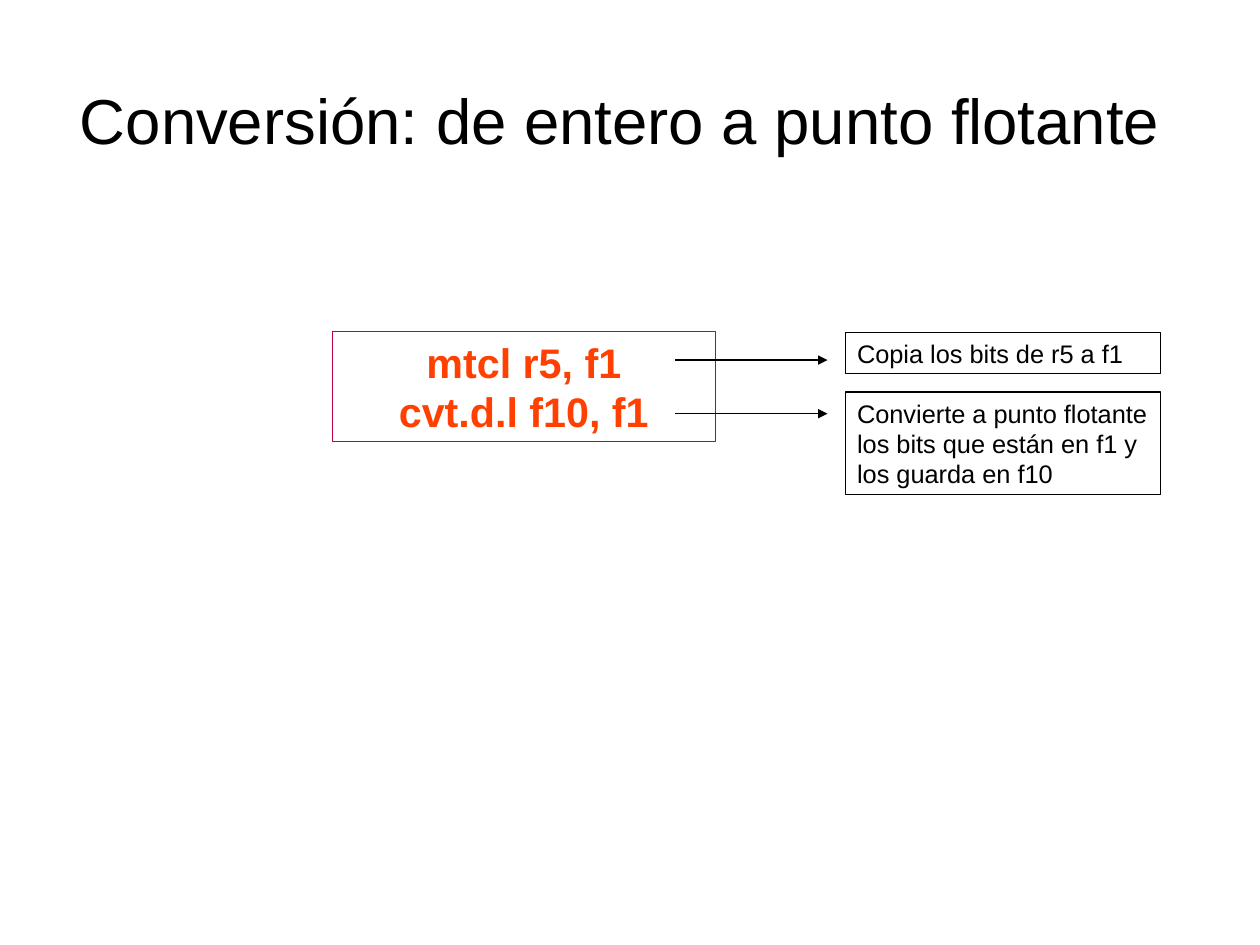
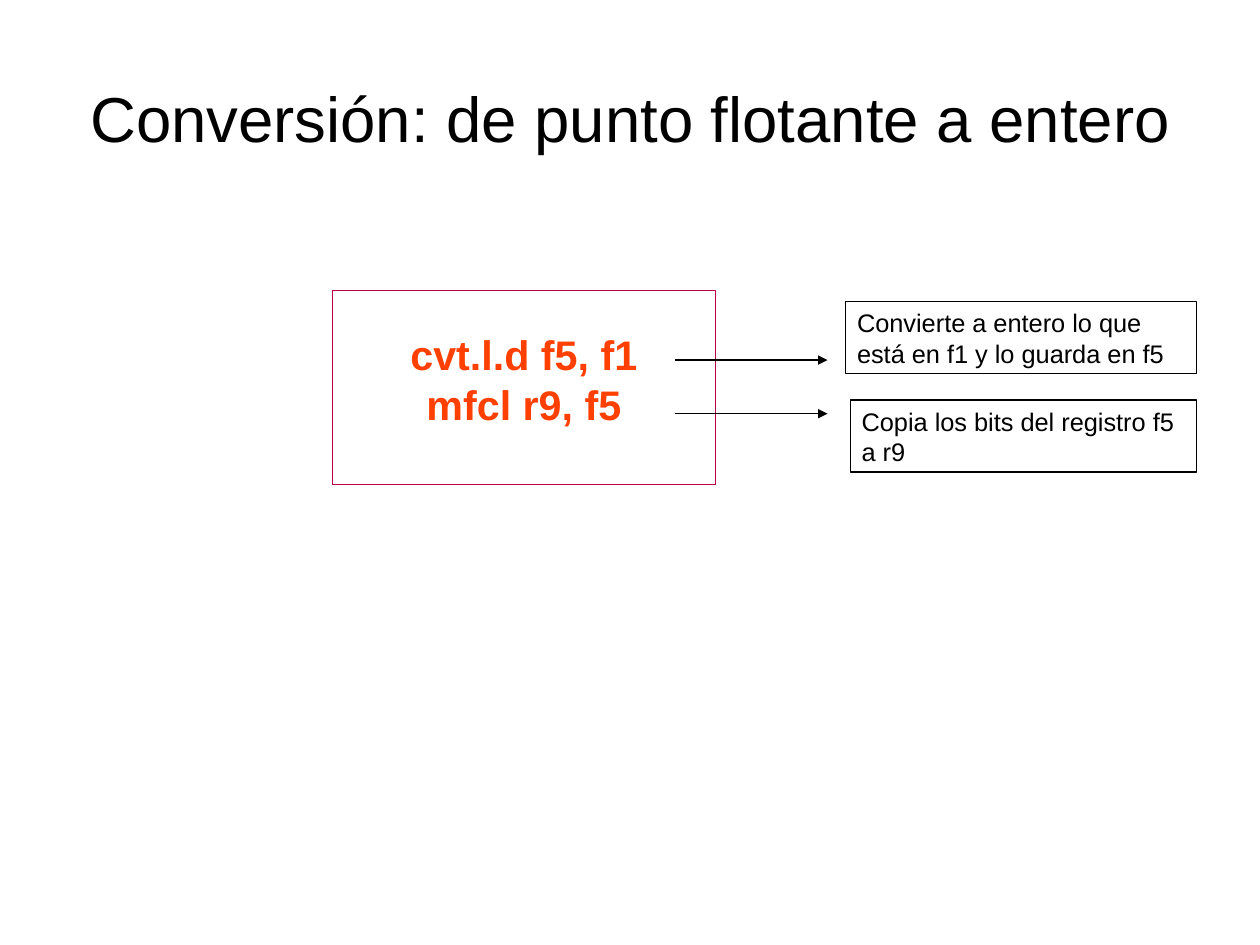
from lxml import etree
from pptx import Presentation
from pptx import util as u
from pptx.dml.color import RGBColor
from pptx.enum import shapes, text
from pptx.oxml.ns import qn

CM_PER_INCH = 2.54
SLIDE_SIZE = (28 / CM_PER_INCH, 21 / CM_PER_INCH)
COLOURS = {"ink": "000000", "code": "FF4000", "code_border": "BF0041"}
FONT = "Arial"
LINE_WIDTH = u.Pt(0.75)
ARROW_LEFT, ARROW_RIGHT = 5.91, 7.24
ARROW_HEIGHTS = (3.15, 3.62)
CODE_LEFT, CODE_WIDTH = 2.91, 3.35

SLIDES = [
    {
        "title": "Conversión: de entero a punto flotante",
        "title_at": (0.46, 0.68, 9.92, 0.73),
        "code": "mtcl r5, f1\ncvt.d.l f10, f1",
        "code_top": 2.9,
        "code_height": 0.96,
        "code_bottom_inset": 0.05,
        "notes": [
            ("Copia los bits de r5 a f1", (7.4, 2.91, 2.75, 0.36)),
            ("Convierte a punto flotante los bits que están en f1 y los guarda en f10",
             (7.4, 3.43, 2.75, 0.9)),
        ],
    },
    {
        "title": "Conversión: de punto flotante a entero",
        "title_at": (0.55, 0.69, 9.92, 0.67),
        "code": "cvt.l.d f5, f1\nmfcl r9, f5",
        "code_top": 2.54,
        "code_height": 1.7,
        "code_bottom_inset": 0.2,
        "notes": [
            ("Convierte a entero lo que está en f1 y lo guarda en f5",
             (7.4, 2.64, 3.07, 0.63)),
            ("Copia los bits del registro f5 a r9", (7.44, 3.5, 3.03, 0.63)),
        ],
    },
]


def colour(name):
    return RGBColor.from_string(COLOURS[name])


def inches(values):
    return [u.Inches(value) for value in values]


def set_text(shape, wording, size, colour_name="ink", bold=False,
             align=text.PP_ALIGN.LEFT, anchor=text.MSO_ANCHOR.TOP,
             insets=(0.1, 0.05, 0.1, 0.05)):
    """Write and format the text; insets are left, top, right, bottom."""
    frame = shape.text_frame
    frame.text = wording
    frame.word_wrap = True
    frame.auto_size = text.MSO_AUTO_SIZE.NONE
    frame.vertical_anchor = anchor
    (frame.margin_left, frame.margin_top,
     frame.margin_right, frame.margin_bottom) = inches(insets)
    for paragraph in frame.paragraphs:
        paragraph.alignment = align
        for run in paragraph.runs:
            run.font.name = FONT
            run.font.size = u.Pt(size)
            run.font.bold = bold
            run.font.color.rgb = colour(colour_name)


def set_title(slide, wording, at):
    title = slide.shapes.title
    title.left, title.top, title.width, title.height = inches(at)
    set_text(title, wording, 40, align=text.PP_ALIGN.CENTER,
             anchor=text.MSO_ANCHOR.MIDDLE, insets=(0, 0, 0, 0))


def add_box(slide, at, border):
    box = slide.shapes.add_shape(shapes.MSO_SHAPE.RECTANGLE, *inches(at))
    box.shadow.inherit = False
    box.fill.background()
    box.line.color.rgb = colour(border)
    box.line.width = LINE_WIDTH
    return box


def add_code(slide, wording, top, height, bottom_inset):
    box = add_box(slide, (CODE_LEFT, top, CODE_WIDTH, height), "code_border")
    set_text(box, wording, 26, "code", bold=True, align=text.PP_ALIGN.CENTER,
             anchor=text.MSO_ANCHOR.MIDDLE, insets=(0.1, 0.05, 0.1, bottom_inset))


def add_arrow(slide, height):
    arrow = slide.shapes.add_connector(
        shapes.MSO_CONNECTOR.STRAIGHT,
        *inches((ARROW_LEFT, height, ARROW_RIGHT, height)))
    arrow.line.color.rgb = colour("ink")
    arrow.line.width = LINE_WIDTH
    properties = arrow.element.find(qn("p:spPr"))
    etree.SubElement(properties.find(qn("a:ln")), qn("a:tailEnd"), type="triangle")
    etree.SubElement(properties, qn("a:effectLst"))


def add_note(slide, wording, at):
    set_text(add_box(slide, at, "ink"), wording, 16)


def main():
    presentation = Presentation()
    presentation.slide_width, presentation.slide_height = inches(SLIDE_SIZE)
    title_only = presentation.slide_layouts[5]
    for content in SLIDES:
        slide = presentation.slides.add_slide(title_only)
        set_title(slide, content["title"], content["title_at"])
        add_code(slide, content["code"], content["code_top"],
                 content["code_height"], content["code_bottom_inset"])
        for height in ARROW_HEIGHTS:
            add_arrow(slide, height)
        for wording, at in content["notes"]:
            add_note(slide, wording, at)
    presentation.save("out.pptx")


if __name__ == "__main__":
    main()
